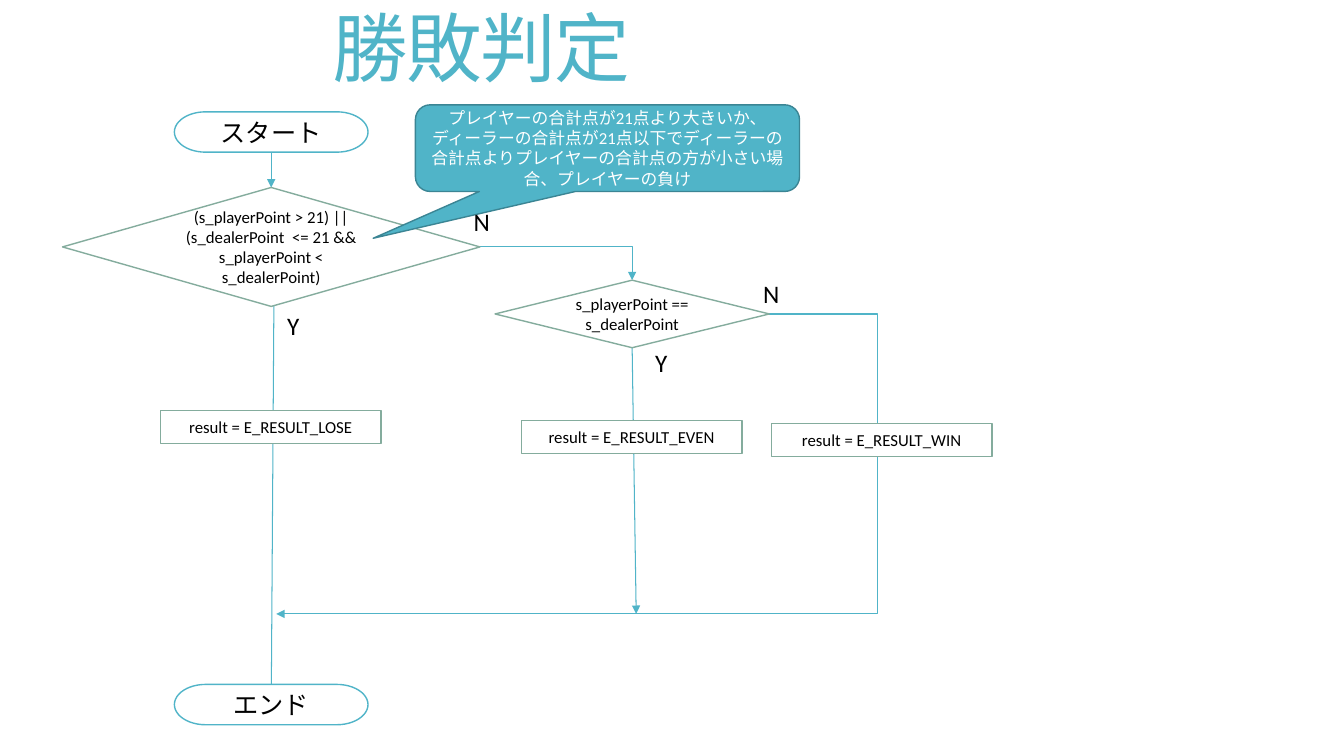
from lxml import etree
from pptx import Presentation
from pptx.dml.color import RGBColor
from pptx.enum import shapes, text
from pptx.oxml import ns
from pptx.util import Inches, Pt

TEAL = RGBColor(0x50, 0xB4, 0xC8)
DEEP = RGBColor(0x3B, 0x85, 0x94)
SAGE = RGBColor(0x84, 0xAC, 0x9D)
BLACK = RGBColor(0, 0, 0)
WHITE = RGBColor(255, 255, 255)

KIND = shapes.MSO_SHAPE
STRAIGHT = shapes.MSO_CONNECTOR.STRAIGHT
ELBOW = shapes.MSO_CONNECTOR.ELBOW
MID = text.MSO_ANCHOR.MIDDLE

TITLE = "勝敗判定"
LOOKS = {
    "end": (KIND.FLOWCHART_TERMINATOR, WHITE, TEAL, BLACK, 18),
    "test": (KIND.FLOWCHART_DECISION, WHITE, SAGE, BLACK, 12),
    "step": (KIND.FLOWCHART_PROCESS, WHITE, SAGE, BLACK, 12),
    "note": (KIND.ROUNDED_RECTANGULAR_CALLOUT, TEAL, DEEP, WHITE, 12),
}
NODES = {
    "start": ("end", (1.73, 1.11, 1.92, 0.4), ["スタート"]),
    "stop": ("end", (1.73, 6.79, 1.92, 0.4), ["エンド"]),
    "loss": ("test", (0.62, 1.86, 4.14, 1.18),
             ["(s_playerPoint > 21) || (s_dealerPoint  <= 21 && s_playerPoint < s_dealerPoint)"]),
    "tie": ("test", (4.91, 2.78, 2.72, 0.67), ["s_playerPoint == s_dealerPoint"]),
    "lose": ("step", (1.59, 4.07, 2.19, 0.33), ["result = E_RESULT_LOSE"]),
    "even": ("step", (5.17, 4.17, 2.19, 0.33), ["result = E_RESULT_EVEN"]),
    "win": ("step", (7.65, 4.2, 2.19, 0.33), ["result = E_RESULT_WIN"]),
    "note": ("note", (4.12, 1.04, 3.81, 0.86),
             ["プレイヤーの合計点が21点より大きいか、",
              "ディーラーの合計点が21点以下でディーラーの合計点よりプレイヤーの合計点の方が小さい場合、プレイヤーの負け"]),
}
TIP = (-0.61, 1.04, 0.17)
MARKS = [("Y", 2.75, 3.03), ("N", 4.6, 2), ("Y", 6.4, 3.4), ("N", 7.47, 2.71)]
LINKS = [
    (STRAIGHT, (2.69, 1.51), (2.69, 1.86), ("start", 2), ("loss", 0), None),
    (STRAIGHT, (2.72, 2.54), (2.69, 7.06), None, None, None),
    (STRAIGHT, (6.27, 3.45), (6.31, 6.09), ("tie", 2), None, None),
    (ELBOW, (4.76, 2.45), (6.27, 2.78), ("loss", 3), ("tie", 0), "bentConnector2"),
    (ELBOW, (7.63, 3.11), (2.74, 6.09), ("tie", 3), None, None),
]
BEND = -0.22


def put(obj, form):
    for key, val in form.items():
        setattr(obj, key, val)


def write(frame, lines, size, color, align):
    for i, line in enumerate(lines):
        para = frame.paragraphs[0] if i == 0 else frame.add_paragraph()
        para.alignment = align
        run = para.add_run()
        run.text = line
        put(run.font, {"name": "Calibri", "size": Pt(size)})
        run.font.color.rgb = color


def box(at):
    return [Inches(v) for v in at]


def draw_node(slide, look, at, lines):
    kind, fill, edge, ink, size = LOOKS[look]
    node = slide.shapes.add_shape(kind, *box(at))
    node.shadow.inherit = False
    node.fill.solid()
    node.fill.fore_color.rgb = fill
    node.line.color.rgb = edge
    node.line.width = Pt(1)
    put(node.text_frame, {"word_wrap": True, "vertical_anchor": MID})
    write(node.text_frame, lines, size, ink, text.PP_ALIGN.CENTER)
    return node


def draw_link(slide, nodes, kind, start, end, tail, head, preset):
    link = slide.shapes.add_connector(kind, *box(start + end))
    if tail:
        link.begin_connect(nodes[tail[0]], tail[1])
    if head:
        link.end_connect(nodes[head[0]], head[1])
    link.line.color.rgb = TEAL
    link.line.width = Pt(0.75)
    props = link._element.spPr
    etree.SubElement(props.find(ns.qn("a:ln")), ns.qn("a:tailEnd"), type="triangle")
    etree.SubElement(props, ns.qn("a:effectLst"))
    geom = props.find(ns.qn("a:prstGeom"))
    if preset:
        geom.set("prst", preset)
    elif kind == ELBOW:
        etree.SubElement(geom.find(ns.qn("a:avLst")), ns.qn("a:gd"),
                         name="adj1", fmla=f"val {round(BEND * 100000)}")
    slide.shapes._spTree.insert(2, link._element)


def main():
    deck = Presentation()
    put(deck, {"slide_width": Inches(13.33), "slide_height": Inches(7.5)})
    slide = deck.slides.add_slide(deck.slide_layouts[5])

    title = slide.shapes.title
    put(title, dict(zip(("left", "top", "width", "height"), box((3.2, 0.18, 11.78, 0.69)))))
    put(title.text_frame, {"word_wrap": True, "vertical_anchor": MID,
                           "auto_size": text.MSO_AUTO_SIZE.NONE})
    write(title.text_frame, [TITLE], 54, TEAL, text.PP_ALIGN.LEFT)
    para = title.text_frame.paragraphs[0]
    para.line_spacing = 0.85
    para.runs[0].font._element.set("spc", "-120")

    nodes = {key: draw_node(slide, *node) for key, node in NODES.items()}
    for i, val in enumerate(TIP):
        nodes["note"].adjustments[i] = val
    for link in LINKS:
        draw_link(slide, nodes, *link)
    for mark, left, top in MARKS:
        label = slide.shapes.add_textbox(*box((left, top, 0.32, 0.4)))
        label.text_frame.word_wrap = True
        write(label.text_frame, [mark], 18, BLACK, text.PP_ALIGN.LEFT)
    deck.save("out.pptx")


if __name__ == "__main__":
    main()
